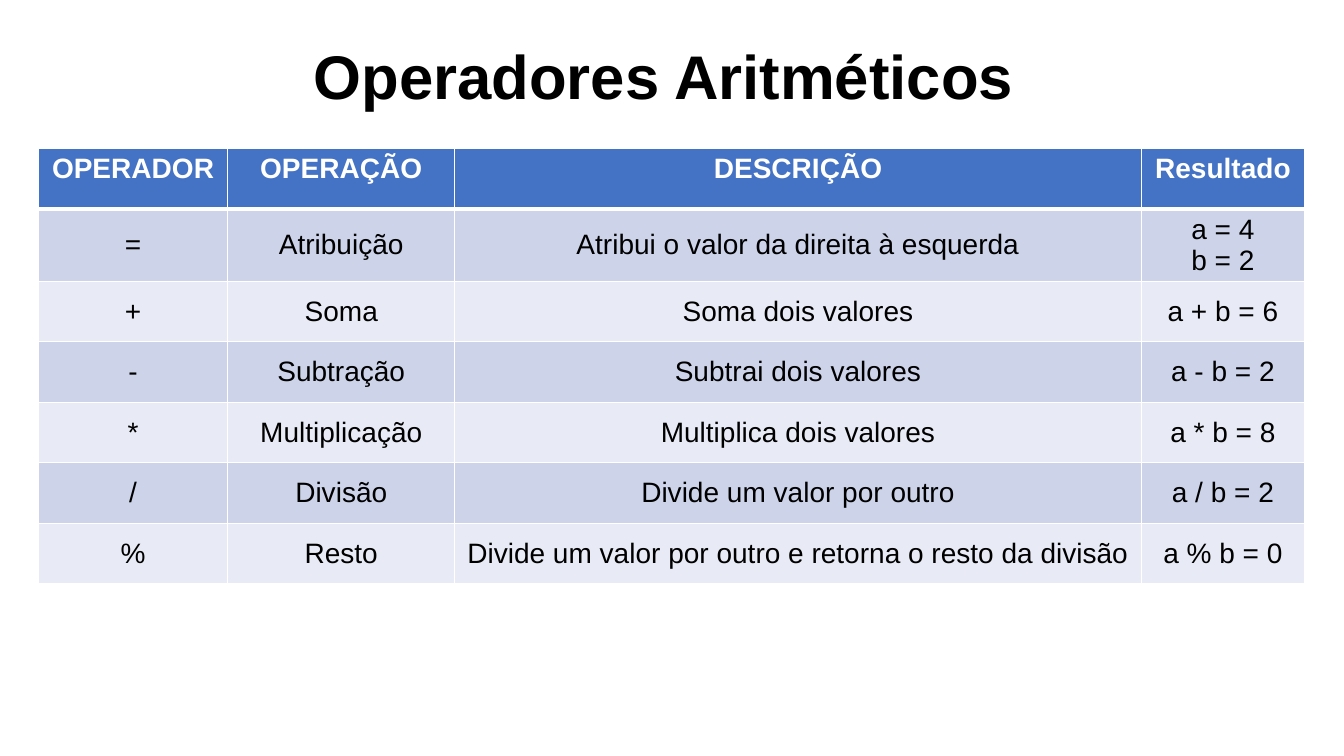
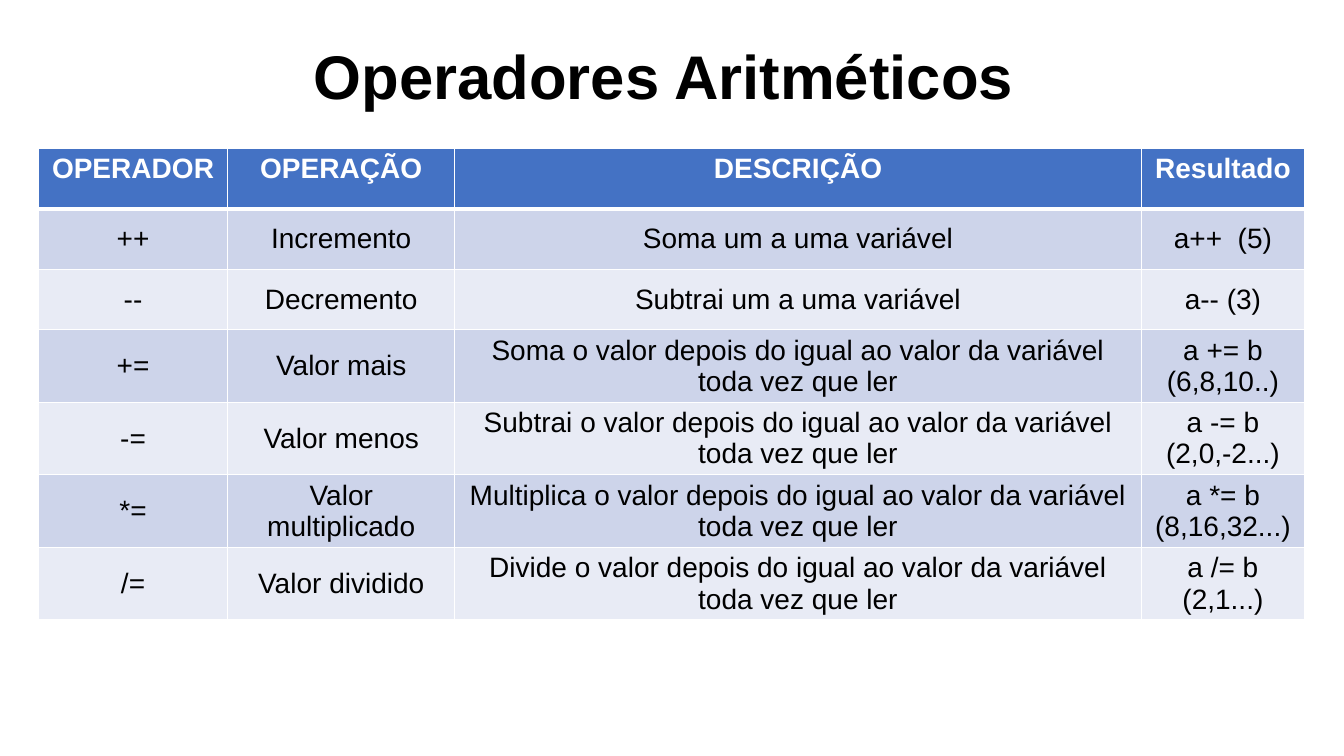
from lxml import etree
from pptx import Presentation
from pptx import util as u
from pptx.dml.color import RGBColor
from pptx.enum import text
from pptx.oxml.ns import qn

PX = 9144
WHITE, BLACK, HEADER_BLUE = "FFFFFF", "000000", "4472C4"
BANDS = ["CDD4EA", "E8EBF5"]
TITLE = "Operadores Aritméticos "
TITLE_BOX = {"left": 92, "top": 6, "width": 1150, "height": 145}
TABLE_LEFT, TABLE_TOP, ROW_HEIGHT = 38, 147, 60
COLUMN_WIDTHS = [188, 225, 681, 162]
HEADINGS = ["OPERADOR", "OPERAÇÃO", "DESCRIÇÃO", "Resultado"]
REPEATED = "o valor depois do igual ao valor da variável toda vez que ler"

basic_operators = [
    ["=", "Atribuição", "Atribui o valor da direita à esquerda", "a = 4\nb = 2"],
    ["+", "Soma", "Soma dois valores", "a + b = 6"],
    ["-", "Subtração", "Subtrai dois valores", "a - b = 2"],
    ["*", "Multiplicação", "Multiplica dois valores", "a * b = 8"],
    ["/", "Divisão", "Divide um valor por outro", "a / b = 2"],
    ["%", "Resto", "Divide um valor por outro e retorna o resto da divisão", "a % b = 0"],
]
compound_operators = [
    ["++", "Incremento", "Soma um a uma variável", "a++  (5)"],
    ["--", "Decremento", "Subtrai um a uma variável", "a-- (3)"],
    ["+=", "Valor mais", f"Soma {REPEATED}", "a += b (6,8,10..)"],
    ["-=", "Valor menos", f"Subtrai {REPEATED}", "a -= b (2,0,-2...)"],
    ["*=", "Valor multiplicado", f"Multiplica {REPEATED}", "a *= b (8,16,32...)"],
    ["/=", "Valor dividido", f"Divide {REPEATED}", "a /= b (2,1...)"],
]


def color(value):
    return RGBColor.from_string(value)


def format_text(frame, size, bold, ink, spacing):
    for paragraph in frame.paragraphs:
        paragraph.alignment = text.PP_ALIGN.CENTER
        paragraph.line_spacing = spacing
        for run in paragraph.runs:
            for key, value in {"name": "Arial", "size": u.Pt(size), "bold": bold}.items():
                setattr(run.font, key, value)
            run.font.color.rgb = color(ink)


deck = Presentation()
deck.slide_width, deck.slide_height = 1333 * PX, 750 * PX

for operators in (basic_operators, compound_operators):
    slide = deck.slides.add_slide(deck.slide_layouts[5])
    heading = slide.shapes.title
    for key, value in TITLE_BOX.items():
        setattr(heading, key, value * PX)
    heading.text_frame.text = TITLE
    heading.text_frame.auto_size = text.MSO_AUTO_SIZE.NONE
    heading.text_frame.vertical_anchor = text.MSO_ANCHOR.MIDDLE
    format_text(heading.text_frame, 44, True, BLACK, 0.9)

    rows = [HEADINGS] + operators
    grid = slide.shapes.add_table(
        len(rows), len(HEADINGS), TABLE_LEFT * PX, TABLE_TOP * PX,
        sum(COLUMN_WIDTHS) * PX, len(rows) * ROW_HEIGHT * PX).table
    grid.first_row = grid.horz_banding = False
    for column, width in zip(grid.columns, COLUMN_WIDTHS):
        column.width = width * PX

    for row, entries in enumerate(rows):
        is_header = row == 0
        borders = {"lnL": 1, "lnR": 1, "lnT": 3 if row == 1 else 1, "lnB": 3 if is_header else 1}
        for column, entry in enumerate(entries):
            cell = grid.cell(row, column)
            cell.text = entry
            cell.vertical_anchor = text.MSO_ANCHOR.TOP if is_header else text.MSO_ANCHOR.MIDDLE
            format_text(cell.text_frame, 20, is_header, WHITE if is_header else BLACK, 1.0)
            properties = cell._tc.get_or_add_tcPr()
            for side, points in borders.items():
                border = etree.SubElement(properties, qn(f"a:{side}"), w=str(u.Pt(points)))
                paint = etree.SubElement(border, qn("a:solidFill"))
                etree.SubElement(paint, qn("a:srgbClr"), val=WHITE)
            cell.fill.solid()
            cell.fill.fore_color.rgb = color(HEADER_BLUE if is_header else BANDS[(row - 1) % 2])

deck.save("out.pptx")
